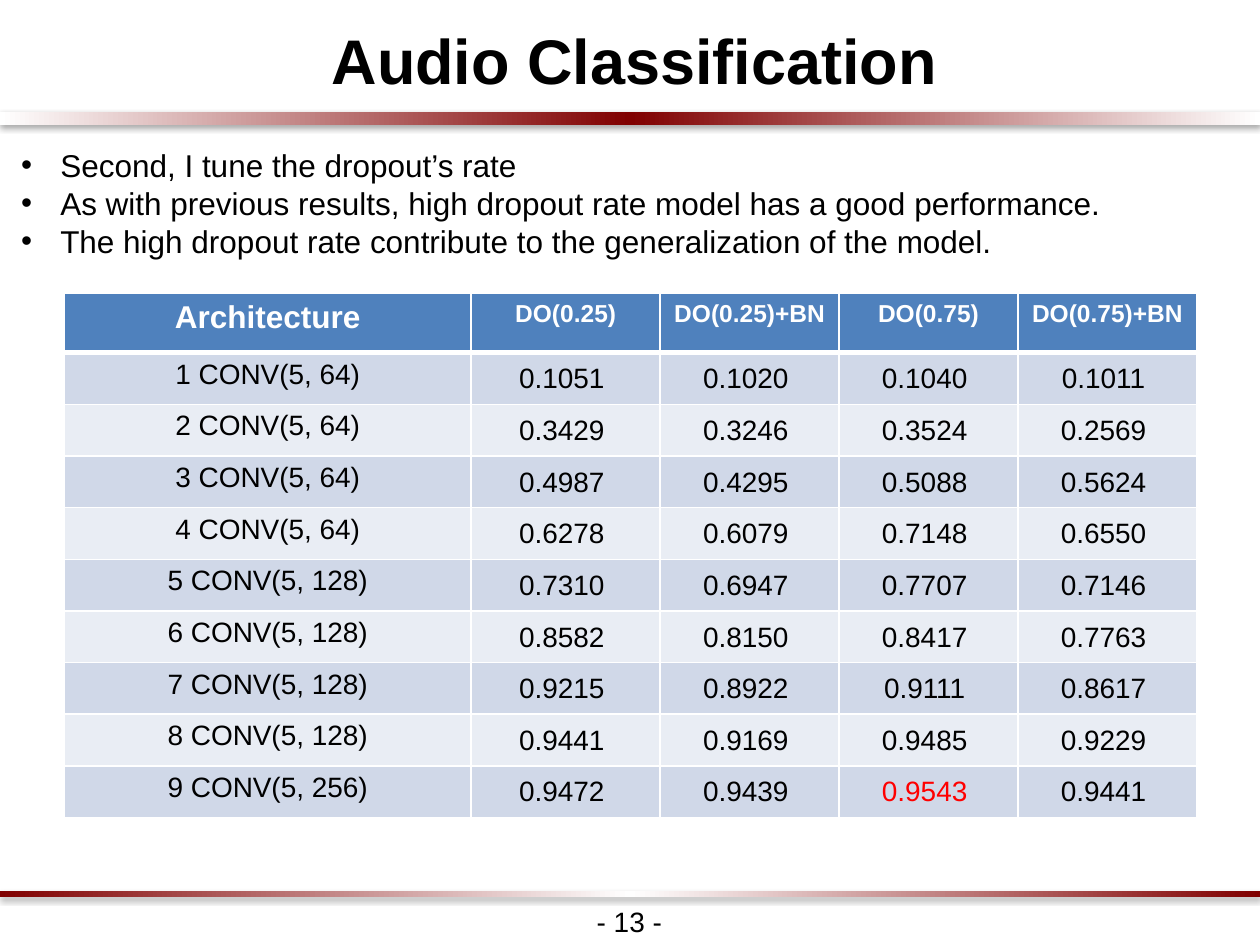
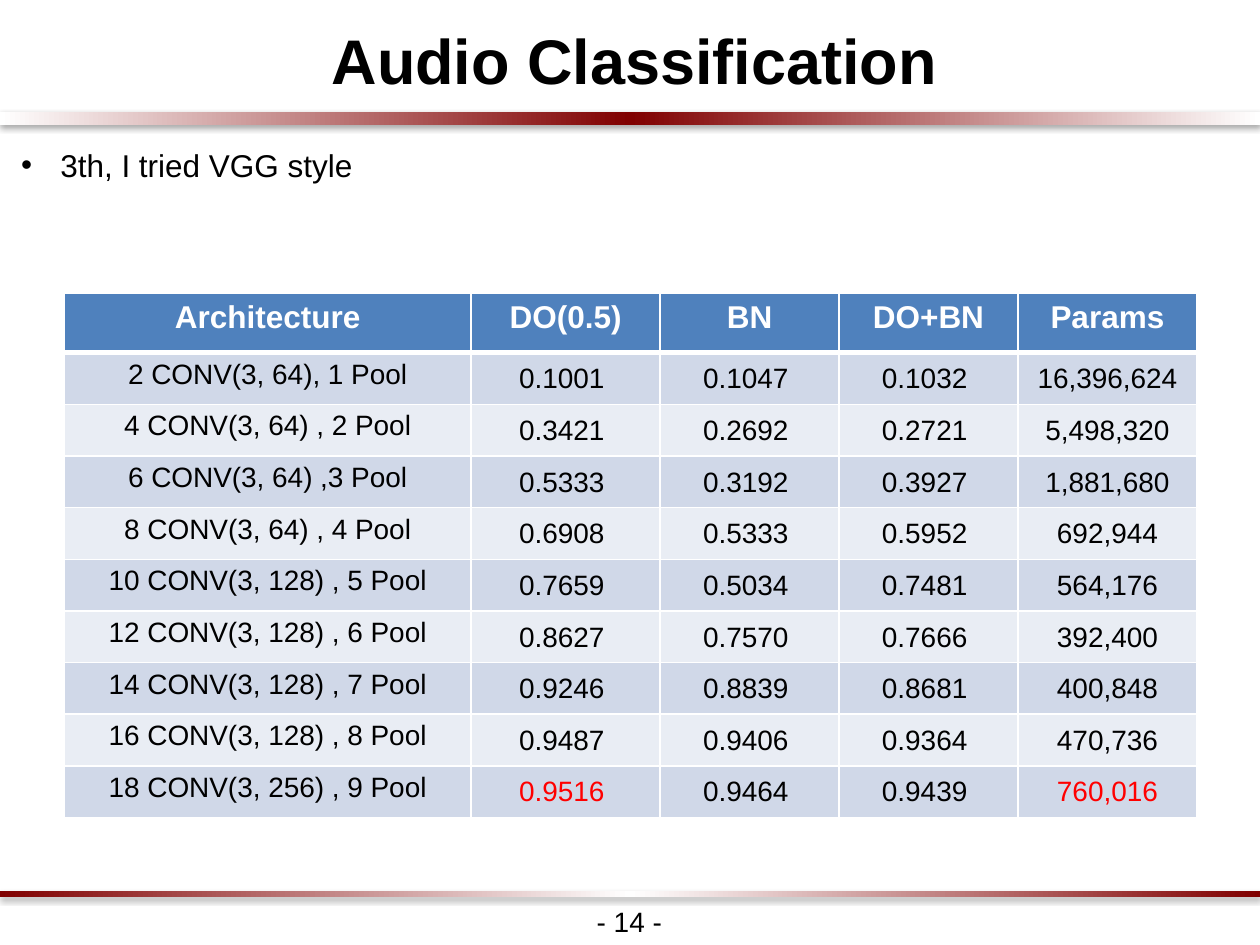
from pptx import Presentation
from pptx.dml.color import RGBColor
from pptx.enum.shapes import MSO_SHAPE as Preset
from pptx.enum.text import MSO_ANCHOR as Anchor, PP_ALIGN as Align
from pptx.oxml import parse_xml
from pptx.oxml.ns import nsdecls
from pptx.util import Inches, Pt

FONT = "Arial"
BLACK, WHITE, RED, MAROON = "000000", "FFFFFF", "FF0000", "800000"
HEADER_FILL, ROW_FILLS = "4F81BD", ("D0D8E8", "E9EDF4")
WIDTH, HEIGHT = 10, 7.5
COLUMN_WIDTHS = (3.23, 1.5, 1.42, 1.42, 1.42)
HEADER_HEIGHT, ROW_HEIGHT = 0.47, 0.41
TITLE = "Audio Classification"

SLIDES = [
    {
        "number": 13,
        "bullets": [
            "Second, I tune the dropout’s rate",
            "As with previous results, high dropout rate model has a good performance.",
            "The high dropout rate contribute to the generalization of the model.",
        ],
        "header": ["Architecture", "DO(0.25)", "DO(0.25)+BN", "DO(0.75)", "DO(0.75)+BN"],
        "variant_size": 14,
        "results": [
            ("1 CONV(5, 64)", 0.1051, 0.1020, 0.1040, 0.1011),
            ("2 CONV(5, 64)", 0.3429, 0.3246, 0.3524, 0.2569),
            ("3 CONV(5, 64)", 0.4987, 0.4295, 0.5088, 0.5624),
            ("4 CONV(5, 64)", 0.6278, 0.6079, 0.7148, 0.6550),
            ("5 CONV(5, 128)", 0.7310, 0.6947, 0.7707, 0.7146),
            ("6 CONV(5, 128)", 0.8582, 0.8150, 0.8417, 0.7763),
            ("7 CONV(5, 128)", 0.9215, 0.8922, 0.9111, 0.8617),
            ("8 CONV(5, 128)", 0.9441, 0.9169, 0.9485, 0.9229),
            ("9 CONV(5, 256)", 0.9472, 0.9439, 0.9543, 0.9441),
        ],
        "best": {(9, 3)},
    },
    {
        "number": 14,
        "bullets": ["3th, I tried VGG style"],
        "header": ["Architecture", "DO(0.5)", "BN", "DO+BN", "Params"],
        "variant_size": 18,
        "results": [
            ("2 CONV(3, 64), 1 Pool", 0.1001, 0.1047, 0.1032, 16396624),
            ("4 CONV(3, 64) , 2 Pool", 0.3421, 0.2692, 0.2721, 5498320),
            ("6 CONV(3, 64) ,3 Pool", 0.5333, 0.3192, 0.3927, 1881680),
            ("8 CONV(3, 64) , 4 Pool", 0.6908, 0.5333, 0.5952, 692944),
            ("10 CONV(3, 128) , 5 Pool", 0.7659, 0.5034, 0.7481, 564176),
            ("12 CONV(3, 128) , 6 Pool", 0.8627, 0.7570, 0.7666, 392400),
            ("14 CONV(3, 128) , 7 Pool", 0.9246, 0.8839, 0.8681, 400848),
            ("16 CONV(3, 128) , 8 Pool", 0.9487, 0.9406, 0.9364, 470736),
            ("18 CONV(3, 256) , 9 Pool", 0.9516, 0.9464, 0.9439, 760016),
        ],
        "best": {(9, 1), (9, 4)},
    },
]


def color(value):
    return RGBColor.from_string(value)


def add_run(paragraph, text, size, text_color=BLACK, bold=False):
    run = paragraph.add_run()
    run.text = text
    run.font.name, run.font.size, run.font.bold = FONT, Pt(size), bold
    run.font.color.rgb = color(text_color)


def add_text_frame(slide, left, top, width, height):
    box = slide.shapes.add_textbox(*map(Inches, (left, top, width, height)))
    box.text_frame.word_wrap = True
    return box.text_frame


def add_band(slide, top, height, edge, middle):
    band = slide.shapes.add_shape(
        Preset.RECTANGLE, 0, Inches(top), Inches(WIDTH), Inches(height))
    band.line.fill.background()
    stops = "".join(
        f'<a:gs pos="{share * 1000}"><a:srgbClr val="{stop}"/></a:gs>'
        for share, stop in ((0, edge), (50, middle), (100, edge)))
    properties = band.element.spPr
    properties.insert(2, parse_xml(
        f'<a:gradFill {nsdecls("a")} rotWithShape="1"><a:gsLst>{stops}</a:gsLst>'
        '<a:lin ang="0" scaled="0"/></a:gradFill>'))
    properties.append(parse_xml(
        f'<a:effectLst {nsdecls("a")}><a:outerShdw blurRad="40000" dist="23000" '
        f'dir="5400000" rotWithShape="0"><a:srgbClr val="{BLACK}">'
        '<a:alpha val="35000"/></a:srgbClr></a:outerShdw></a:effectLst>'))


def add_title(slide):
    frame = add_text_frame(slide, -0.23, 0.03, 10.45, 0.79)
    frame.vertical_anchor = Anchor.MIDDLE
    frame.margin_top = frame.margin_bottom = Inches(0.1)
    paragraph = frame.paragraphs[0]
    paragraph.alignment, paragraph.line_spacing = Align.CENTER, 1.15
    paragraph._p.get_or_add_pPr().set("marL", str(Inches(0.08)))
    add_run(paragraph, TITLE, 36, bold=True)


def add_bullets(slide, bullets):
    frame = add_text_frame(slide, 0.07, 1.11, 9.42, 1.06)
    for index, text in enumerate(bullets):
        paragraph = frame.add_paragraph() if index else frame.paragraphs[0]
        properties = paragraph._p.get_or_add_pPr()
        properties.set("marL", str(Inches(0.31)))
        properties.set("indent", str(-Inches(0.31)))
        for item in (f'buClr {nsdecls("a")}><a:srgbClr val="{BLACK}"/></a:buClr',
                     f'buFont {nsdecls("a")} typeface="{FONT}"/',
                     f'buChar {nsdecls("a")} char="•"/'):
            properties.append(parse_xml(f"<a:{item}>"))
        add_run(paragraph, text, 18)


def set_borders(cell, row):
    widths = {"L": 1, "R": 1, "T": 3 if row == 1 else 1, "B": 3 if row == 0 else 1}
    for index, (side, width) in enumerate(widths.items()):
        cell._tc.get_or_add_tcPr().insert(index, parse_xml(
            f'<a:ln{side} {nsdecls("a")} w="{Pt(width)}"><a:solidFill>'
            f'<a:srgbClr val="{WHITE}"/></a:solidFill></a:ln{side}>'))


def display(value):
    if isinstance(value, float):
        return f"{value:.4f} "
    return f"{value:,}" if isinstance(value, int) else value


def add_results(slide, content):
    rows = [content["header"], *content["results"]]
    heights = [HEADER_HEIGHT] + [ROW_HEIGHT] * len(content["results"])
    table = slide.shapes.add_table(
        len(rows), len(COLUMN_WIDTHS), Inches(0.51), Inches(2.33),
        Inches(sum(COLUMN_WIDTHS)), Inches(sum(heights))).table
    for column, width in zip(table.columns, COLUMN_WIDTHS):
        column.width = Inches(width)
    for row, (values, height) in enumerate(zip(rows, heights)):
        table.rows[row].height = Inches(height)
        for column, value in enumerate(values):
            cell = table.cell(row, column)
            cell.fill.solid()
            cell.fill.fore_color.rgb = color(ROW_FILLS[(row - 1) % 2] if row else HEADER_FILL)
            set_borders(cell, row)
            paragraph = cell.text_frame.paragraphs[0]
            paragraph.alignment = Align.CENTER
            if row == 0:
                size = content["variant_size"] if column else 18
                add_run(paragraph, value, size, WHITE, bold=True)
                continue
            if column:
                cell.vertical_anchor = Anchor.MIDDLE
                cell.margin_left = cell.margin_right = cell.margin_top = Inches(0.01)
                cell.margin_bottom = 0
            best = (row, column) in content["best"]
            add_run(paragraph, display(value), 16, RED if best else BLACK)


def add_page_number(slide, number):
    paragraph = add_text_frame(slide, 3.83, 7.13, 2.33, 0.37).paragraphs[0]
    paragraph.alignment = Align.CENTER
    add_run(paragraph, f"- {number} -", 16)


def main():
    presentation = Presentation()
    presentation.slide_width, presentation.slide_height = Inches(WIDTH), Inches(HEIGHT)
    for content in SLIDES:
        slide = presentation.slides.add_slide(presentation.slide_layouts[6])
        add_band(slide, 0.89, 0.1, WHITE, MAROON)
        add_band(slide, 7.07, 0.05, MAROON, WHITE)
        add_title(slide)
        add_bullets(slide, content["bullets"])
        add_results(slide, content)
        add_page_number(slide, content["number"])
    presentation.save("out.pptx")


if __name__ == "__main__":
    main()
